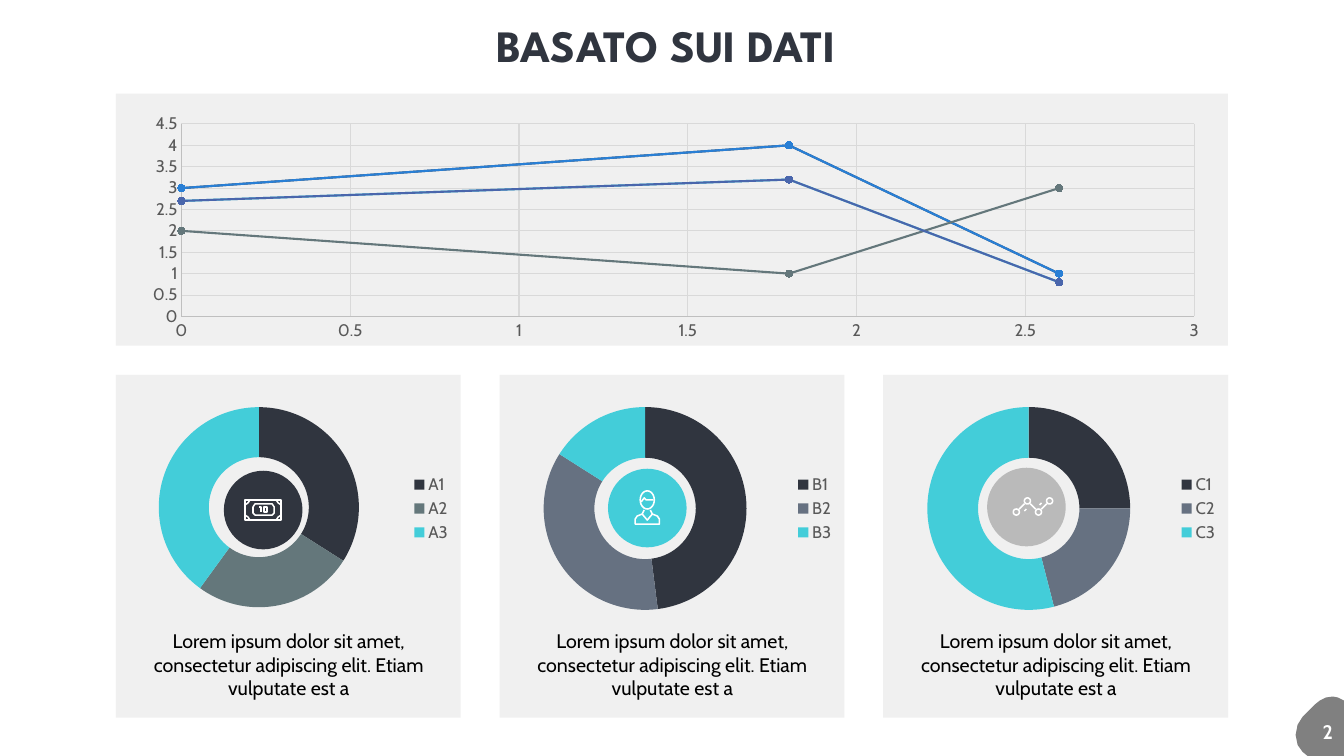
import math
from pptx import Presentation, util as u
from pptx.chart import data as chart_data
from pptx.dml.color import RGBColor
from pptx.enum import chart as chart_enum, shapes, text
from pptx.oxml import parse_xml
from pptx.oxml.ns import nsdecls, qn

DARK = RGBColor(0x30, 0x35, 0x3F)
SLATE = RGBColor(0x64, 0x77, 0x7B)
STEEL = RGBColor(0x66, 0x71, 0x81)
AQUA = RGBColor(0x43, 0xCD, 0xD9)
INDIGO = RGBColor(0x4A, 0x66, 0xAC)
BLUE = RGBColor(0x29, 0x7F, 0xD5)
NAVY = RGBColor(0x34, 0x43, 0x57)
PANEL = RGBColor(0xCF, 0xCF, 0xCF)
SILVER = RGBColor(0xBA, 0xBA, 0xBA)
GREY = RGBColor(0x80, 0x80, 0x80)
AXIS = RGBColor(0xBF, 0xBF, 0xBF)
GRID = RGBColor(0xD9, 0xD9, 0xD9)
LABEL = RGBColor(0x59, 0x59, 0x59)
WHITE = RGBColor(0xFF, 0xFF, 0xFF)
BLACK = RGBColor(0, 0, 0)
BODY_FONT = "Cabin"
CAPTION = "Lorem ipsum dolor sit amet, consectetur adipiscing elit. Etiam vulputate est a"

TIMES = (0, 1.8, 2.6)
LINES = [
    ((2.7, 3.2, 0.8), INDIGO),
    ((2, 1, 3), SLATE),
    ((3, 4, 1), BLUE),
    ((2.7, 3.2, 0.8), AQUA),
    ((3, 4, 1), NAVY),
]
BADGE = [(13.22, 6.91), (13.27, 6.92), (13.33, 6.95), (13.33, 7.5), (12.97, 7.5),
         (12.92, 7.46), (12.87, 7.39), (12.85, 7.29), (12.87, 7.19), (12.92, 7.11),
         (13.04, 6.99), (13.09, 6.95), (13.15, 6.92), (13.22, 6.91)]


def box(left, top, width, height):
    return [u.Inches(value) for value in (left, top, width, height)]


def oval(x, y, radius_x, radius_y):
    angles = [math.tau * step / 24 for step in range(25)]
    return [(x + radius_x * math.cos(a), y + radius_y * math.sin(a)) for a in angles]


def rectangle(left, top, right, bottom):
    return [(left, top), (right, top), (right, bottom), (left, bottom), (left, top)]


def banknote_strokes():
    corners = [[(x, y + 0.05 * dy), (x + 0.03 * dx, y + 0.03 * dy), (x + 0.05 * dx, y)]
               for x, dx in ((2.43, 1), (2.79, -1)) for y, dy in ((4.96, 1), (5.16, -1))]
    medallion = [(2.53, 5), (2.7, 5), (2.72, 5.03), (2.72, 5.09),
                 (2.7, 5.11), (2.53, 5.11), (2.51, 5.09), (2.51, 5.03), (2.53, 5)]
    one = [(2.57, 5.03), (2.59, 5.03), (2.59, 5.08)]
    return [rectangle(2.43, 4.96, 2.79, 5.16), medallion, one,
            rectangle(2.62, 5.03, 2.65, 5.08), *corners]


def person_strokes():
    fringe = [(6.36, 4.98), (6.39, 4.94), (6.41, 4.96), (6.48, 4.96)]
    shoulders = [(6.39, 5.06), (6.37, 5.1), (6.32, 5.12), (6.3, 5.15), (6.3, 5.2),
                 (6.54, 5.2), (6.54, 5.15), (6.52, 5.12), (6.47, 5.1), (6.45, 5.06)]
    collar = [(6.37, 5.1), (6.42, 5.16), (6.47, 5.1)]
    return [oval(6.42, 4.96, 0.07, 0.09), fringe, shoulders, collar]


def graph_strokes():
    nodes = [(10.08, 5.08), (10.19, 4.97), (10.3, 5.08), (10.41, 4.97)]
    links = [[(x1 + (x2 - x1) * part, y1 + (y2 - y1) * part) for part in (0.25, 0.75)]
             for (x1, y1), (x2, y2) in zip(nodes, nodes[1:])]
    dashes = [[(x, y), (x + 0.02, y - 0.02)] for x, y in ((10.16, 5.07), (10.31, 5.01))]
    return [*(oval(x, y, 0.03, 0.03) for x, y in nodes), *links, *dashes]


def add_preset(slide, kind, place, color, opacity=None):
    shape = slide.shapes.add_shape(kind, *box(*place))
    shape.shadow.inherit = False
    shape.line.fill.background()
    shape.fill.solid()
    shape.fill.fore_color.rgb = color
    if opacity is not None:
        color_element = shape.fill._xPr.find(".//" + qn("a:srgbClr"))
        color_element.append(parse_xml(f'<a:alpha {nsdecls("a")} val="{opacity * 1000}"/>'))


def add_outline(slide, strokes):
    paths = [[(u.Inches(x), u.Inches(y)) for x, y in stroke] for stroke in strokes]
    builder = slide.shapes.build_freeform(*paths[0][0])
    for path in paths:
        builder.move_to(*path[0])
        builder.add_line_segments(path[1:], close=False)
    shape = builder.convert_to_shape()
    shape.shadow.inherit = False
    return shape


def add_icon(slide, strokes):
    icon = add_outline(slide, strokes)
    icon.fill.background()
    icon.line.color.rgb = WHITE
    icon.line.width = u.Pt(1.1)


def add_badge(slide):
    badge = add_outline(slide, [BADGE])
    badge.line.fill.background()
    badge.fill.solid()
    badge.fill.fore_color.rgb = GREY


def set_text(shape, content, size, color, name=BODY_FONT, bold=False,
             align=text.PP_ALIGN.CENTER, wrap=True, inset=True):
    frame = shape.text_frame
    frame.text = content
    frame.word_wrap = wrap
    frame.auto_size = text.MSO_AUTO_SIZE.SHAPE_TO_FIT_TEXT
    frame.vertical_anchor = text.MSO_ANCHOR.TOP
    if not inset:
        frame.margin_left = frame.margin_right = frame.margin_top = frame.margin_bottom = 0
    paragraph = frame.paragraphs[0]
    paragraph.alignment = align
    set_font(paragraph.font, size, color, name, bold)


def set_font(font, size, color, name=BODY_FONT, bold=False):
    font.size, font.name, font.bold = u.Pt(size), name, bold
    font.color.rgb = color


def add_chart(slide, kind, place, data, layout):
    chart = slide.shapes.add_chart(kind, *box(*place), data).chart
    chart.has_title = False
    chart.has_legend = False
    set_font(chart.font, 10, BLACK)
    plot_area = chart.element.find(".//" + qn("c:plotArea"))
    for old_layout in plot_area.findall(qn("c:layout")):
        plot_area.remove(old_layout)
    sizes = "".join(f'<c:{tag} val="{value}"/>' for tag, value in zip("xywh", layout))
    plot_area.insert(0, parse_xml(
        f'<c:layout {nsdecls("c")}><c:manualLayout><c:layoutTarget val="inner"/>'
        f'<c:xMode val="edge"/><c:yMode val="edge"/>{sizes}</c:manualLayout></c:layout>'))
    return chart


def format_axis(axis, maximum):
    axis.minimum_scale, axis.maximum_scale, axis.major_unit = 0, maximum, 0.5
    axis.major_tick_mark = axis.minor_tick_mark = chart_enum.XL_TICK_MARK.NONE
    axis.has_major_gridlines = True
    for line, color in ((axis.format.line, AXIS), (axis.major_gridlines.format.line, GRID)):
        line.color.rgb = color
        line.width = u.Pt(0.75)
    set_font(axis.tick_labels.font, 12, LABEL)
    axis.tick_labels.number_format = "General"
    axis.tick_labels.number_format_is_linked = False


def add_line_chart(slide):
    data = chart_data.XyChartData()
    for number, (values, _) in enumerate(LINES, 1):
        series = data.add_series(f"Series {number}")
        for x, y in zip(TIMES, values):
            series.add_data_point(x, y)
    chart = add_chart(slide, chart_enum.XL_CHART_TYPE.XY_SCATTER_SMOOTH,
                      (1.26, 1.09, 10.8, 2.33), data, (0.05, 0.06, 0.93, 0.82))
    chart.plots[0].vary_by_categories = False
    format_axis(chart.category_axis, 3)
    format_axis(chart.value_axis, 4.5)
    for series, (_, color) in zip(chart.plots[0].series, LINES):
        series.smooth = True
        series.format.line.color.rgb = color
        series.format.line.width = u.Pt(1.5)
        marker = series.marker
        marker.style, marker.size = chart_enum.XL_MARKER_STYLE.CIRCLE, 5
        marker.format.fill.solid()
        marker.format.fill.fore_color.rgb = color
        marker.format.line.color.rgb = color


def add_doughnut(slide, left, letter, values, colors, layout):
    data = chart_data.CategoryChartData()
    data.categories = [f"{letter}{number}" for number in (1, 2, 3)]
    data.add_series("Series 1", values)
    chart = add_chart(slide, chart_enum.XL_CHART_TYPE.DOUGHNUT,
                      (left, 3.9, 3.44, 2.29), data, layout)
    chart.has_legend = True
    chart.legend.position = chart_enum.XL_LEGEND_POSITION.RIGHT
    chart.legend.include_in_layout = False
    set_font(chart.legend.font, 12, LABEL)
    chart.plots[0].vary_by_categories = True
    chart.element.find(".//" + qn("c:holeSize")).set("val", "75")
    for index, color in enumerate(colors):
        point = chart.plots[0].series[0].points[index].format
        point.fill.solid()
        point.fill.fore_color.rgb = color
        point.line.fill.background()


def main():
    """Build the data slide and save it."""
    presentation = Presentation()
    presentation.slide_width, presentation.slide_height = u.Inches(13.33), u.Inches(7.5)
    slide = presentation.slides.add_slide(presentation.slide_layouts[5])
    title = slide.shapes.title
    title.left, title.top, title.width, title.height = box(4.81, 0.18, 3.71, 0.54)
    set_text(title, "BASATO SUI DATI ", 32, DARK, "League Spartan", True, wrap=False, inset=False)

    rect, ellipse = shapes.MSO_SHAPE.RECTANGLE, shapes.MSO_SHAPE.OVAL
    add_preset(slide, rect, (1.15, 0.93, 11.03, 2.5), PANEL, 30)
    add_line_chart(slide)

    wide = (0.13, 0.06, 0.585, 0.88)
    cards = [
        ("A", (34, 26, 40), SLATE, (0.126, 0.061, 0.578, 0.867), (2.22, 4.67), DARK, banknote_strokes()),
        ("B", (48, 36, 16), STEEL, wide, (6.03, 4.65), AQUA, person_strokes()),
        ("C", (25, 21, 54), STEEL, wide, (9.79, 4.64), SILVER, graph_strokes()),
    ]
    for index, (letter, values, middle, layout, disc, disc_color, strokes) in enumerate(cards):
        left = 1.15 + 3.805 * index
        add_preset(slide, rect, (left, 3.72, 3.42, 3.4), PANEL, 30)
        add_doughnut(slide, left - 0.01, letter, values, (DARK, middle, AQUA), layout)
        add_preset(slide, ellipse, (*disc, 0.78, 0.78), disc_color)
        add_icon(slide, strokes)
        caption = slide.shapes.add_textbox(*box(left + 0.25, 6.24, 2.93, 0.71))
        set_text(caption, CAPTION, 14, BLACK, inset=False)

    add_badge(slide)
    page_number = slide.shapes.add_textbox(*box(13.02, 7.09, 0.3, 0.34))
    set_text(page_number, "2", 14, WHITE, bold=True, align=text.PP_ALIGN.LEFT, wrap=False)
    presentation.save("out.pptx")


if __name__ == "__main__":
    main()
